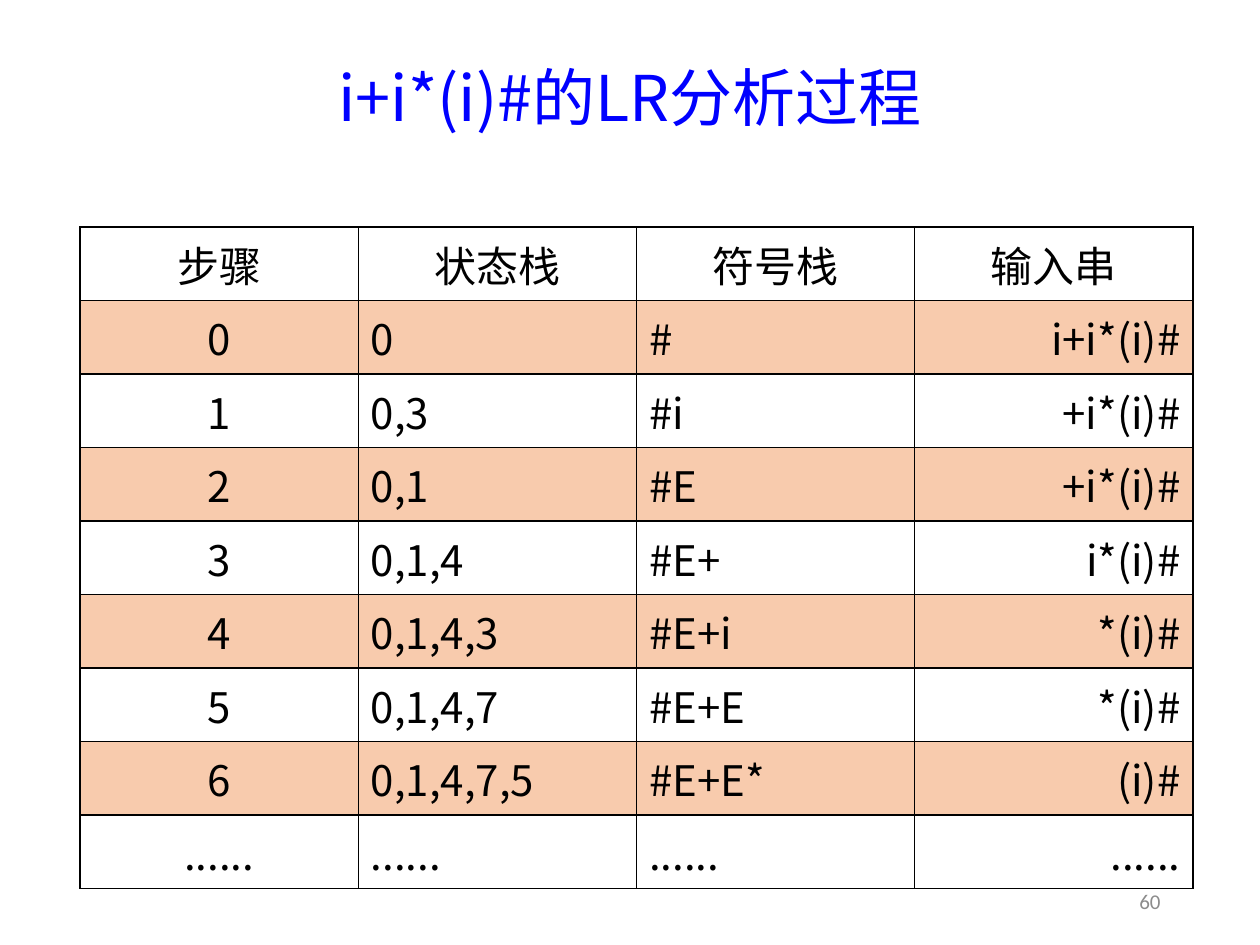
from dataclasses import dataclass

from lxml.etree import SubElement
from pptx import Presentation
from pptx.dml.color import RGBColor
from pptx.enum.text import MSO_ANCHOR as Anchor, PP_ALIGN as Align
from pptx.oxml.ns import qn
from pptx.util import Emu, Pt

EMU_PER_PX = 914400 // 126
COLORS = {"title": "0000FF", "text": "000000", "number": "8C8C8C",
          "band": "F8CBAD", "border": "000000"}


@dataclass
class Style:
    font: str
    size: int
    color: str
    align: Align = Align.LEFT
    spacing: float = 1.0


@dataclass
class Label:
    text: str
    box: tuple[int, int, int, int]
    style: Style


LABELS = [
    Label("i+i*(i)#的LR分析过程", (87, 49, 1086, 105),
          Style("Noto Sans CJK JP", 36, "title", Align.CENTER, 0.9)),
    Label("60", (890, 876, 283, 50), Style("Calibri", 12, "number", Align.RIGHT)),
]

HEADER = ("步骤", "状态栈", "符号栈", "输入串")
STEPS = [
    ("0", "#", "i+i*(i)#"),
    ("0,3", "#i", "+i*(i)#"),
    ("0,1", "#E", "+i*(i)#"),
    ("0,1,4", "#E+", "i*(i)#"),
    ("0,1,4,3", "#E+i", "*(i)#"),
    ("0,1,4,7", "#E+E", "*(i)#"),
    ("0,1,4,7,5", "#E+E*", "(i)#"),
]
ROWS = [HEADER, *((str(i), *step) for i, step in enumerate(STEPS)), ("......",) * 4]
COLUMN_ALIGNS = (Align.CENTER, Align.LEFT, Align.LEFT, Align.RIGHT)
TABLE_BOX = (80, 227, 1113, 662)


def px(n: int) -> Emu:
    return Emu(n * EMU_PER_PX)


def rgb(name: str) -> RGBColor:
    return RGBColor.from_string(COLORS[name])


def write(tf, text: str, style: Style) -> None:
    tf.text = text
    p = tf.paragraphs[0]
    p.alignment = style.align
    p.line_spacing = style.spacing
    r = p.runs[0]
    r.font.size = Pt(style.size)
    r.font.color.rgb = rgb(style.color)
    r.font.name = style.font
    SubElement(r.font._element, qn("a:ea"), typeface=style.font)


def add_label(s, label: Label) -> None:
    tf = s.shapes.add_textbox(*map(px, label.box)).text_frame
    tf.word_wrap = True
    tf.vertical_anchor = Anchor.MIDDLE
    write(tf, label.text, label.style)


def add_borders(cell) -> None:
    tc_pr = cell._tc.get_or_add_tcPr()
    for i, side in enumerate(("lnL", "lnR", "lnT", "lnB")):
        ln = tc_pr.makeelement(qn(f"a:{side}"), {"w": str(Pt(1))})
        fill = SubElement(ln, qn("a:solidFill"))
        SubElement(fill, qn("a:srgbClr"), val=COLORS["border"])
        tc_pr.insert(i, ln)  # borders come before the fill


def add_steps_table(s) -> None:
    # Rows and columns share the box equally
    table = s.shapes.add_table(len(ROWS), len(HEADER), *map(px, TABLE_BOX)).table
    table.first_row = table.horz_banding = False

    for i, texts in enumerate(ROWS):
        for j, text in enumerate(texts):
            cell = table.cell(i, j)
            align = COLUMN_ALIGNS[j] if i else Align.CENTER
            write(cell.text_frame, text, Style("Noto Sans CJK SC", 24, "text", align))
            if i % 2:
                cell.fill.solid()
                cell.fill.fore_color.rgb = rgb("band")
            else:
                cell.fill.background()
            add_borders(cell)


def main() -> None:
    prs = Presentation()
    prs.slide_width, prs.slide_height = px(1260), px(945)
    s = prs.slides.add_slide(prs.slide_layouts[6])

    # Title and slide number
    for label in LABELS:
        add_label(s, label)

    # Parsing steps
    add_steps_table(s)
    prs.save("out.pptx")


if __name__ == "__main__":
    main()
